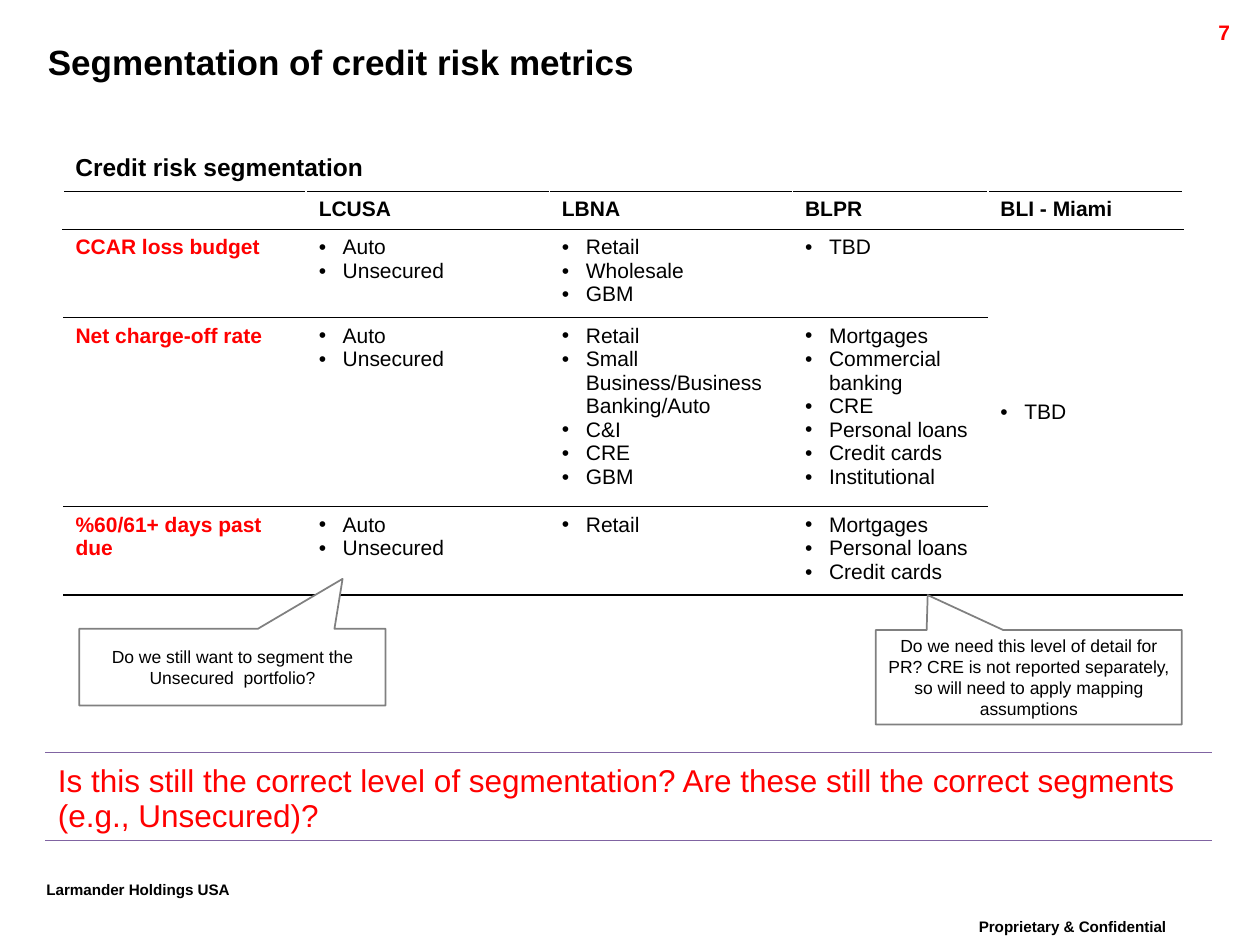
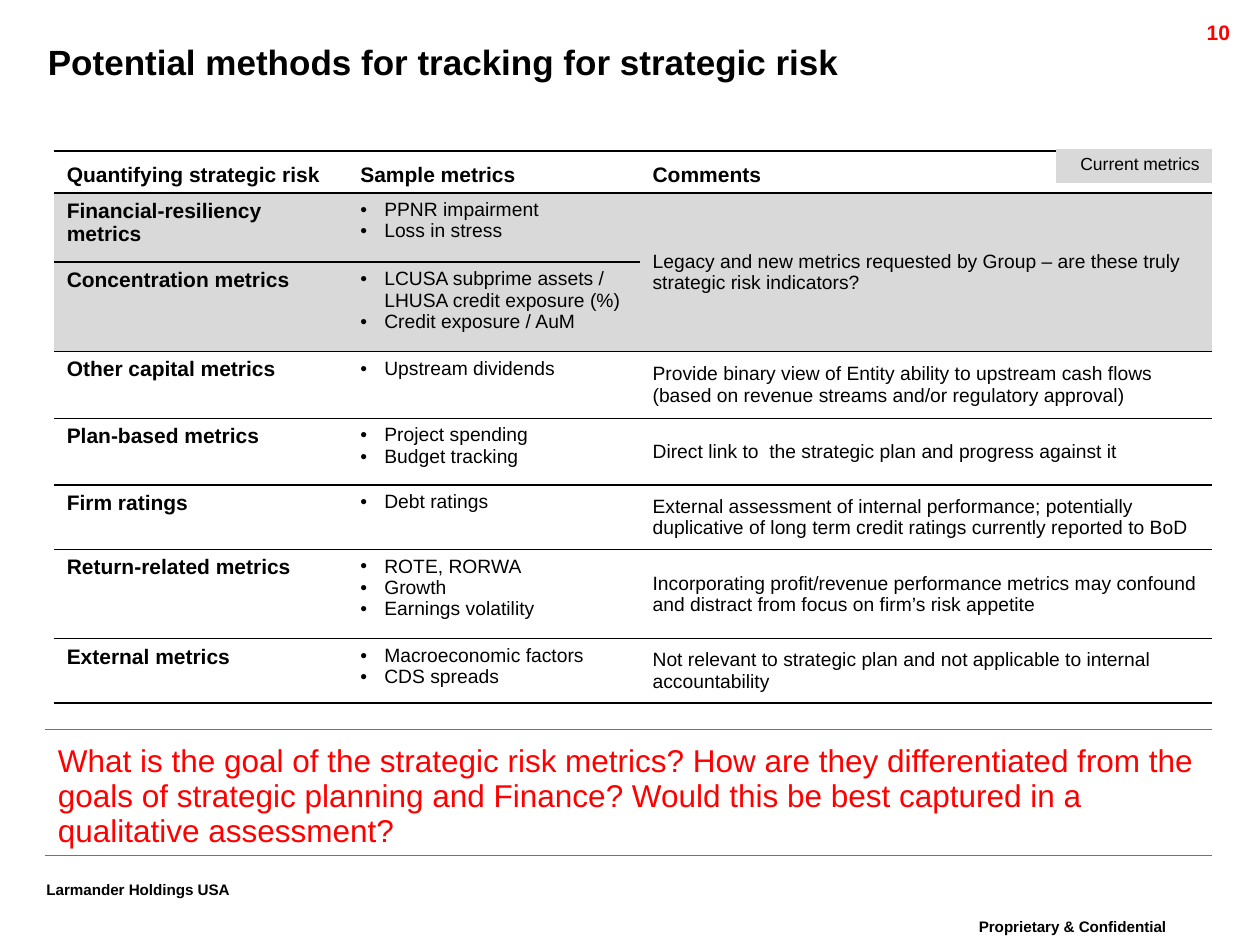
import pptx
import pptx.dml.color
import pptx.enum.shapes
import pptx.enum.text
import pptx.oxml.ns
import pptx.util
from lxml import etree

Inches, Pt = pptx.util.Inches, pptx.util.Pt
ALIGN, ANCHOR = pptx.enum.text.PP_ALIGN, pptx.enum.text.MSO_ANCHOR
qn = pptx.oxml.ns.qn

COLORS = {"text": "000000", "accent": "FF0000", "rule": "000000", "question": "8064A2",
          "current": "D9D9D9", "callout": "FFFFFF", "callout_line": "808080", "gap": "FFFFFF"}
FONT = "Arial"
PLAIN_TABLE = "{2D5ABB26-0587-4C30-8999-92F81FD0307C}"  # no style, no grid
BULLET_INDENT = 0.19

SEGMENT_ROWS = [
    ["", "LCUSA", "LBNA", "BLPR", "BLI - Miami"],
    ["CCAR loss budget", ["Auto", "Unsecured"], ["Retail", "Wholesale", "GBM"], ["TBD"], ["TBD"]],
    ["Net charge-off rate", ["Auto", "Unsecured"],
     ["Retail", "Small Business/Business Banking/Auto", "C&I", "CRE", "GBM"],
     ["Mortgages", "Commercial banking", "CRE", "Personal loans", "Credit cards",
      "Institutional"], None],
    ["%60/61+ days past due", ["Auto", "Unsecured"], ["Retail"],
     ["Mortgages", "Personal loans", "Credit cards"], None],
]
METHOD_ROWS = [
    ["Quantifying strategic risk", "Sample metrics", "Comments"],
    ["Financial-resiliency metrics", ["PPNR impairment", "Loss in stress"],
     "Legacy and new metrics requested by Group – are these truly strategic risk indicators?"],
    ["Concentration metrics",
     ["LCUSA subprime assets / LHUSA credit exposure (%)", "Credit exposure / AuM"], None],
    ["Other capital metrics", ["Upstream dividends"],
     "Provide binary view of Entity ability to upstream cash flows (based on revenue streams "
     "and/or regulatory approval)"],
    ["Plan-based metrics", ["Project spending", "Budget tracking"],
     "Direct link to  the strategic plan and progress against it"],
    ["Firm ratings", ["Debt ratings"],
     "External assessment of internal performance; potentially duplicative of long term credit "
     "ratings currently reported to BoD"],
    ["Return-related metrics", ["ROTE, RORWA", "Growth", "Earnings volatility"],
     "Incorporating profit/revenue performance metrics may confound and distract from focus on "
     "firm’s risk appetite"],
    ["External metrics", ["Macroeconomic factors", "CDS spreads"],
     "Not relevant to strategic plan and not applicable to internal accountability"],
]


def rgb(name):
    return pptx.dml.color.RGBColor.from_string(COLORS[name])


def write_text(tf, text, size=12, color="text", bold=False, align=ALIGN.LEFT, baseline=None):
    """Write a string as one paragraph, or a list as bulleted paragraphs."""
    bulleted = isinstance(text, list)
    for i, line in enumerate(text if bulleted else [text]):
        p = tf.paragraphs[0] if i == 0 else tf.add_paragraph()
        p.alignment = align
        if bulleted:
            pPr = p._p.get_or_add_pPr()
            pPr.set("marL", str(Inches(BULLET_INDENT)))
            pPr.set("indent", str(-Inches(BULLET_INDENT)))
            etree.SubElement(pPr, qn("a:buFont"), typeface=FONT)
            etree.SubElement(pPr, qn("a:buChar"), char="•")
        if not line:
            etree.SubElement(p._p, qn("a:endParaRPr"), sz=str(size * 100))
            continue
        r = p.add_run()
        r.text = line
        r.font.name, r.font.size, r.font.bold = FONT, Pt(size), bold
        r.font.color.rgb = rgb(color)
        if baseline:
            r.font._element.set("baseline", str(baseline * 1000))


def add_text(slide, box, text, wrap=True, **fmt):
    tf = slide.shapes.add_textbox(*map(Inches, box)).text_frame
    tf.word_wrap = wrap
    write_text(tf, text, **fmt)


def add_borders(cell, borders):
    """Take borders as side -> (colour, points); call before the cell is filled."""
    tcPr = cell._tc.get_or_add_tcPr()
    for side in "LRTB":
        if side in borders:
            color, width = borders[side]
            ln = etree.SubElement(tcPr, qn(f"a:ln{side}"), w=str(Pt(width)))
            fill = etree.SubElement(ln, qn("a:solidFill"))
            etree.SubElement(fill, qn("a:srgbClr"), val=COLORS[color])


def add_table(slide, box, widths, heights, rows, style):
    """Fill a table; None continues the cell above, style(row, col) gives
    the cell's text format, anchor, fill and borders."""
    frame = slide.shapes.add_table(len(rows), len(widths), *map(Inches, box))
    frame._element.xpath(".//a:tableStyleId")[0].text = PLAIN_TABLE
    table = frame.table
    table.first_row = table.horz_banding = False
    for col, width in zip(table.columns, widths):
        col.width = Inches(width)
    for row, height in zip(table.rows, heights):
        row.height = Inches(height)
    for i, row in enumerate(rows):
        for j, text in enumerate(row):
            cell = table.cell(i, j)
            fmt, anchor, fill, borders = style(i, j)
            if text is None:
                if i == len(rows) - 1:
                    add_borders(cell, {"B": borders["B"]})
                continue
            add_borders(cell, borders)
            if fill:
                cell.fill.solid()
                cell.fill.fore_color.rgb = rgb(fill)
            else:
                cell.fill.background()
            cell.vertical_anchor = anchor
            cell.margin_top = cell.margin_bottom = Inches(0.05)
            cell.margin_left = cell.margin_right = Inches(0.1)
            write_text(cell.text_frame, text, **fmt)
            span = 1
            while i + span < len(rows) and rows[i + span][j] is None:
                span += 1
            if span > 1:
                cell.merge(table.cell(i + span - 1, j))


def rules(color="rule", width=1):
    return {"T": (color, width), "B": (color, width)}


def segment_style(i, j):
    borders = rules()
    if i == 0:
        borders.update(L=("gap", 1), R=("gap", 1))
    label = i > 0 and j == 0
    fmt = {"bold": i == 0 or label, "color": "accent" if label else "text"}
    return fmt, ANCHOR.MIDDLE if i and j == 4 else ANCHOR.TOP, None, borders


def method_style(i, j):
    heading = i == 0 or j == 0
    anchor = ANCHOR.BOTTOM if i == 0 else ANCHOR.MIDDLE if j == 2 else ANCHOR.TOP
    fill = "current" if i in (1, 2) else None
    return {"size": 12 if heading else 11, "bold": heading}, anchor, fill, rules()


def add_question(slide, top, height, text):
    width = 9.26
    add_table(slide, (0.36, top, width, height), [width], [height], [[text]],
              lambda i, j: ({"size": 18, "color": "accent"}, ANCHOR.BOTTOM, None,
                            rules("question", 0.75)))


def add_current_key(slide, box):
    add_table(slide, box, [box[2]], [box[3]], [["Current metrics"]],
              lambda i, j: ({"size": 10, "align": ALIGN.RIGHT}, ANCHOR.TOP, "current", {}))


def add_callout(slide, box, tip, text):
    kind = pptx.enum.shapes.MSO_SHAPE.RECTANGULAR_CALLOUT
    sp = slide.shapes.add_shape(kind, *map(Inches, box))
    sp.adjustments[0], sp.adjustments[1] = tip
    sp.shadow.inherit = False
    sp.fill.solid()
    sp.fill.fore_color.rgb = rgb("callout")
    sp.line.color.rgb = rgb("callout_line")
    sp.line.width = Pt(1)
    tf = sp.text_frame
    tf.word_wrap = True
    tf.vertical_anchor = ANCHOR.MIDDLE
    tf.margin_left = tf.margin_right = tf.margin_top = tf.margin_bottom = Inches(0.08)
    write_text(tf, text, size=10, align=ALIGN.CENTER)


def add_base_slide(prs, title, number):
    """Add a slide with its title, page number and footers."""
    slide = prs.slides.add_slide(prs.slide_layouts[5])
    sp = slide.shapes.title
    sp.left, sp.top, sp.width, sp.height = map(Inches, (0.28, 0.27, 9.72, 0.44))
    tf = sp.text_frame
    tf.auto_size = pptx.enum.text.MSO_AUTO_SIZE.NONE
    tf.vertical_anchor = ANCHOR.TOP
    write_text(tf, title, size=20, bold=True)
    footer = {"size": 15, "bold": True, "baseline": 30}
    add_text(slide, (7.67, 7.21, 2.18, 0.35), "Proprietary & Confidential", **footer)
    add_text(slide, (0.27, 6.91, 1.91, 0.35), "Larmander Holdings USA", wrap=False, **footer)
    add_text(slide, (8.91, 0.11, 0.95, 0.24), number, color="accent", bold=True,
             align=ALIGN.RIGHT)
    return slide


def build_segmentation(prs):
    slide = add_base_slide(prs, "Segmentation of credit risk metrics", "7")
    add_text(slide, (0.5, 1.16, 2.5, 0.34), "Credit risk segmentation", wrap=False,
             size=14, bold=True)
    add_table(slide, (0.5, 1.52, 8.89, 3.2), [1.93] * 3 + [1.55] * 2, [0.3, 0.7, 1.5, 0.7],
              SEGMENT_ROWS, segment_style)
    add_callout(slide, (6.95, 5, 2.43, 0.75), (-0.33, -0.87),
                "Do we need this level of detail for PR? CRE is not reported separately, "
                "so will need to apply mapping assumptions")
    add_callout(slide, (0.63, 4.99, 2.43, 0.61), (0.36, -1.15),
                "Do we still want to segment the Unsecured  portfolio?")
    add_question(slide, 5.97, 0.7, "Is this still the correct level of segmentation? Are these "
                 "still the correct segments (e.g., Unsecured)?")


def build_methods(prs):
    slide = add_base_slide(prs, "Potential methods for tracking for strategic risk", "10")
    add_table(slide, (0.43, 1.2, 9.19, 4.38), [2.33, 2.32, 4.54],
              [0.33, 0.55, 0.71, 0.53, 0.53, 0.51, 0.71, 0.51], METHOD_ROWS, method_style)
    add_current_key(slide, (8.38, 1.18, 1.24, 0.27))
    add_question(slide, 5.79, 1, "What is the goal of the strategic risk metrics? How are they "
                 "differentiated from the goals of strategic planning and Finance? Would this "
                 "be best captured in a qualitative assessment?")


def main():
    prs = pptx.Presentation()
    prs.slide_width, prs.slide_height = Inches(10), Inches(7.5)
    build_segmentation(prs)
    build_methods(prs)
    prs.save("out.pptx")


if __name__ == "__main__":
    main()
